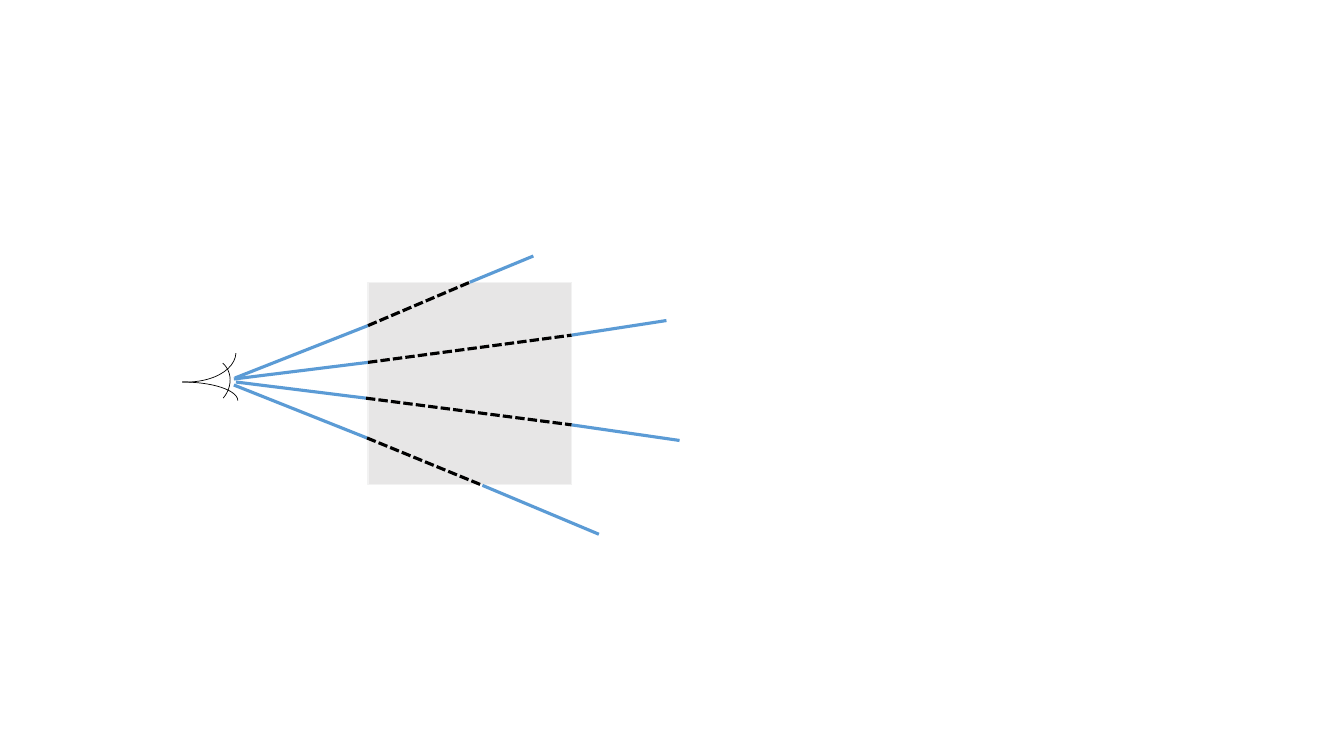
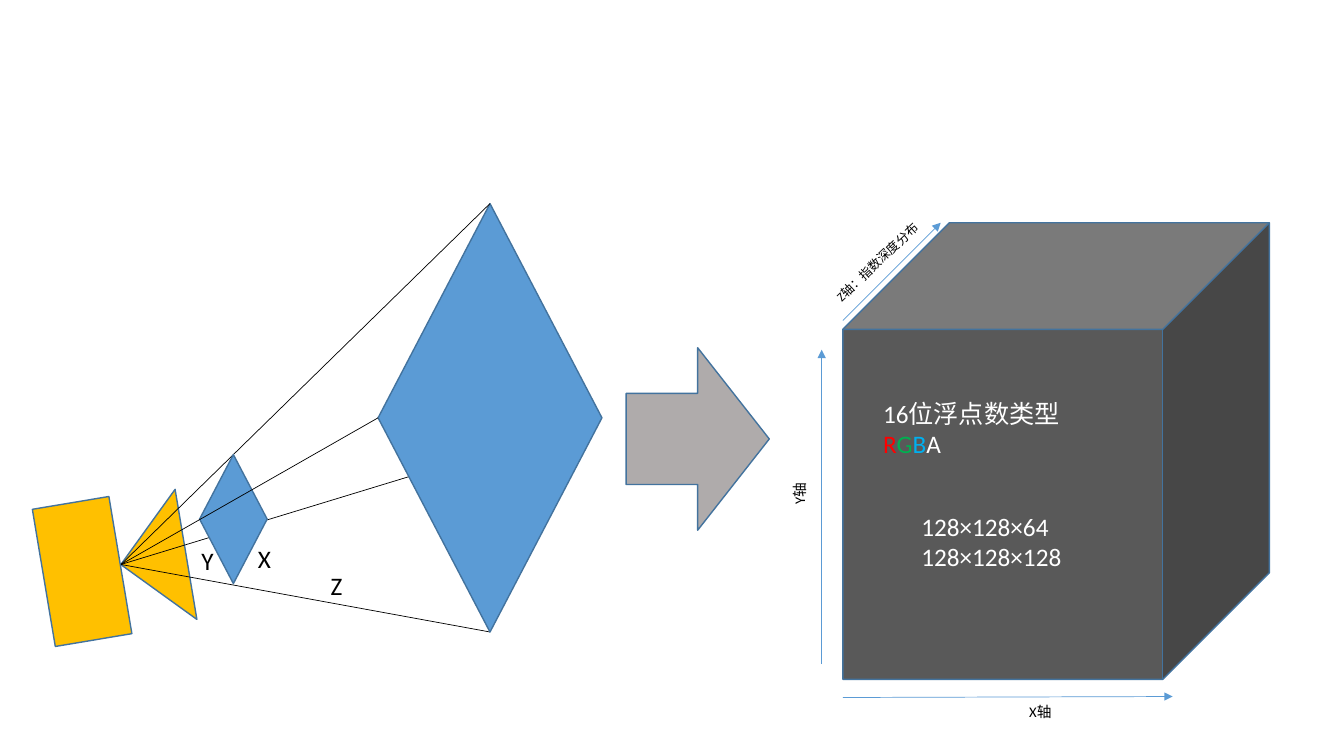
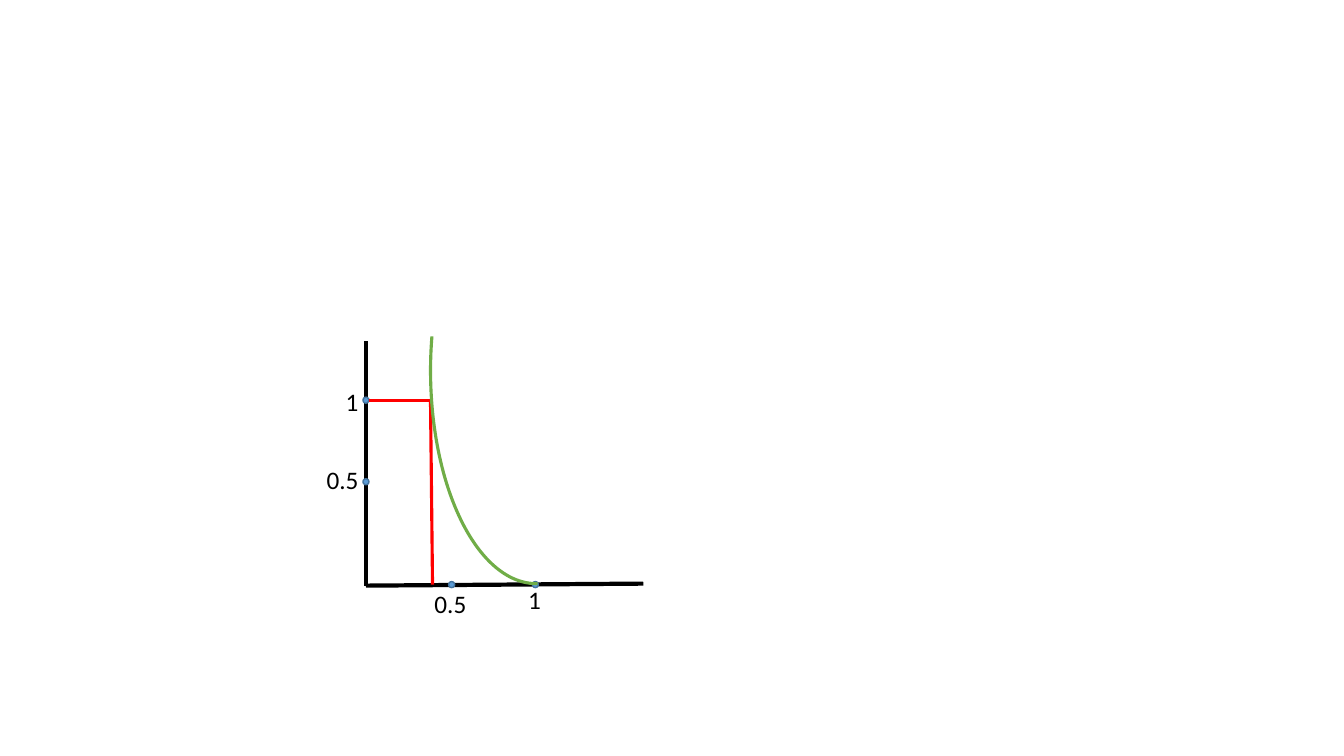
"""Build three diagram slides: view rays, a frustum mapped to a volume texture, and a falloff curve."""
from dataclasses import dataclass
from itertools import pairwise

from pptx import Presentation
from pptx.dml.color import RGBColor
from pptx.enum.dml import MSO_LINE
from pptx.enum.shapes import MSO_CONNECTOR, MSO_SHAPE
from pptx.enum.text import MSO_AUTO_SIZE
from pptx.oxml.ns import qn
from pptx.util import Inches, Pt
from lxml.etree import SubElement

BLACK = RGBColor(0x00, 0x00, 0x00)
WHITE = RGBColor(0xFF, 0xFF, 0xFF)
BLUE = RGBColor(0x5B, 0x9B, 0xD5)
OUTLINE = RGBColor(0x43, 0x73, 0x9E)
GOLD = RGBColor(0xFF, 0xC0, 0x00)
SILVER = RGBColor(0xAF, 0xAB, 0xAB)
CHARCOAL = RGBColor(0x59, 0x59, 0x59)
FOG = RGBColor(0xE7, 0xE6, 0xE6)
FOG_EDGE = RGBColor(0xF2, 0xF2, 0xF2)
RED = RGBColor(0xFF, 0x00, 0x00)
GREEN = RGBColor(0x00, 0xB0, 0x50)
SKY = RGBColor(0x00, 0xB0, 0xF0)
CURVE_GREEN = RGBColor(0x70, 0xAD, 0x47)

FONT = "Calibri"
CELLS_PER_INCH = 10
TOP, LEFT, BOTTOM, RIGHT = range(4)

Point = tuple[float, float]


def cells(count: float) -> int:
    return Inches(count / CELLS_PER_INCH)


@dataclass(frozen=True)
class Box:
    col: float
    row: float
    cols: float
    rows: float
    turn: float = 0

    def side(self, site: int) -> Point:
        middle_col, middle_row = self.col + self.cols / 2, self.row + self.rows / 2
        return {
            TOP: (middle_col, self.row),
            LEFT: (self.col, middle_row),
            BOTTOM: (middle_col, self.row + self.rows),
            RIGHT: (self.col + self.cols, middle_row),
        }[site]


@dataclass(frozen=True)
class Stroke:
    color: RGBColor
    points: float
    dashed: bool = False
    arrow: bool = False


@dataclass(frozen=True)
class Run:
    text: str
    color: RGBColor = BLACK


@dataclass(frozen=True)
class Label:
    box: Box
    size: float
    paragraphs: tuple[tuple[Run, ...], ...]
    wrap: bool = False


@dataclass(frozen=True)
class Tick:
    text: str
    center: Point
    label_col: float
    label_row: float
    label_cols: float


EDGE = Stroke(OUTLINE, 1)
HAIRLINE = Stroke(BLACK, 0.5)
VISIBLE_RAY = Stroke(BLUE, 2.25)
HIDDEN_RAY = Stroke(BLACK, 2.25, dashed=True)
DIRECTION = Stroke(BLUE, 0.5, arrow=True)
AXIS = Stroke(BLACK, 3)
GUIDE = Stroke(RED, 2.25)
CURVE = Stroke(CURVE_GREEN, 2.25)


def apply_stroke(line, stroke: Stroke) -> None:
    line.color.rgb = stroke.color
    line.width = Pt(stroke.points)
    if stroke.dashed:
        line.dash_style = MSO_LINE.SQUARE_DOT


def draw_shape(shapes, kind: MSO_SHAPE, box: Box, stroke: Stroke, fill: RGBColor | None = None):
    drawn = shapes.add_shape(kind, cells(box.col), cells(box.row), cells(box.cols), cells(box.rows))
    drawn.rotation = box.turn
    drawn.shadow.inherit = False
    if fill is None:
        drawn.fill.background()
    else:
        drawn.fill.solid()
        drawn.fill.fore_color.rgb = fill
    apply_stroke(drawn.line, stroke)
    return drawn


def draw_line(shapes, start: Point, end: Point, stroke: Stroke):
    drawn = shapes.add_connector(MSO_CONNECTOR.STRAIGHT, *(cells(n) for n in (*start, *end)))
    apply_stroke(drawn.line, stroke)
    properties = drawn._element.spPr
    if stroke.arrow:
        SubElement(properties.find(qn("a:ln")), qn("a:tailEnd"), type="triangle")
    SubElement(properties, qn("a:effectLst"))
    return drawn


def draw_label(shapes, label: Label) -> None:
    box = label.box
    drawn = shapes.add_textbox(cells(box.col), cells(box.row), cells(box.cols), cells(box.rows))
    drawn.rotation = box.turn
    frame = drawn.text_frame
    frame.word_wrap = label.wrap
    frame.auto_size = MSO_AUTO_SIZE.SHAPE_TO_FIT_TEXT
    for index, runs in enumerate(label.paragraphs):
        paragraph = frame.add_paragraph() if index else frame.paragraphs[0]
        for part in runs:
            run = paragraph.add_run()
            run.text = part.text
            run.font.name = FONT
            run.font.size = Pt(label.size)
            run.font.color.rgb = part.color


def draw_view_rays(shapes) -> None:
    eye = shapes.add_group_shape().shapes
    for lid in (
        Box(12.6, 37.9, 11, 3.7),
        Box(15.1, 29.6, 6.2, 10.4, 92.6),
        Box(18.1, 35.4, 4.6, 5.2, 40.6),
    ):
        draw_shape(eye, MSO_SHAPE.ARC, lid, HAIRLINE)

    draw_shape(shapes, MSO_SHAPE.RECTANGLE, Box(36.5, 28, 20.2, 20.1), Stroke(FOG_EDGE, 1), FOG)

    rays = (
        ((23.3, 37.5), (36.5, 32.3), (46.6, 28), (52.9, 25.4)),
        ((23.2, 37.6), (36.5, 35.95), (56.7, 33.25), (66.1, 31.8)),
        ((23.4, 37.9), (36.3, 39.5), (56.7, 42.15), (67.4, 43.7)),
        ((23.2, 38.2), (36.4, 43.45), (47.85, 48.15), (59.4, 53)),
    )
    for ray in rays:
        for (start, end), stroke in zip(pairwise(ray), (VISIBLE_RAY, HIDDEN_RAY, VISIBLE_RAY)):
            draw_line(shapes, start, end, stroke)


def draw_frustum(shapes) -> None:
    lens = (12, 56)
    far_plane = Box(37.5, 20.2, 22.2, 42.5)
    near_plane = Box(19.8, 45.1, 6.7, 12.8)

    def draw_ray(site: int):
        return draw_line(shapes, lens, far_plane.side(site), HAIRLINE)

    draw_shape(shapes, MSO_SHAPE.RIGHT_TRIANGLE, Box(13.8, 50.4, 9.3, 9.2, 35.8), EDGE, GOLD)
    rays = {site: draw_ray(site) for site in (RIGHT, BOTTOM)}
    draw_shape(shapes, MSO_SHAPE.RECTANGLE, Box(4.3, 49.8, 7.7, 13.8, 350.5), EDGE, GOLD)
    far = draw_shape(shapes, MSO_SHAPE.FLOWCHART_DECISION, far_plane, EDGE, BLUE)
    rays[TOP] = draw_ray(TOP)
    draw_shape(shapes, MSO_SHAPE.FLOWCHART_DECISION, near_plane, EDGE, BLUE)
    rays[LEFT] = draw_ray(LEFT)
    for site, ray in rays.items():
        ray.end_connect(far, site)


def draw_volume(shapes) -> None:
    draw_shape(shapes, MSO_SHAPE.RIGHT_ARROW, Box(62.1, 34.5, 14.2, 18.1), EDGE, SILVER)
    draw_shape(shapes, MSO_SHAPE.CUBE, Box(83.6, 22.1, 42.3, 45.3), EDGE, CHARCOAL)
    for start, end in (
        ((81.5, 65.9), (81.5, 34.7)),
        ((83.6, 69.2), (116.3, 69.1)),
        ((83.6, 31.8), (93.3, 22.1)),
    ):
        draw_line(shapes, start, end, DIRECTION)


def draw_volume_labels(shapes) -> None:
    channels = (
        Run("16位浮点数类型 ", WHITE),
        Run("R", RED),
        Run("G", GREEN),
        Run("B", SKY),
        Run("A", WHITE),
    )
    sizes = ((Run("128×128×64", WHITE),), (Run("128×128×128", WHITE),))
    for label in (
        Label(Box(80.5, 19.5, 26, 7.2, 316.5), 9, ((Run("Z轴：指数深度分布"),),)),
        Label(Box(74.8, 42.2, 11.9, 5.7, 270), 10.5, ((Run("Y轴"),),)),
        Label(Box(101.1, 69.2, 8.7, 7.9), 10.5, ((Run("X轴"),),)),
        Label(Box(31.8, 56.1, 6.5, 11.5), 18, ((Run("Z"),),)),
        Label(Box(24.6, 53.4, 6.8, 11.5), 18, ((Run("X"),),)),
        Label(Box(19, 53.6, 6.6, 11.5), 18, ((Run("Y"),),)),
        Label(Box(86.6, 39, 24, 7.1), 18, (channels,), wrap=True),
        Label(Box(90.4, 50.2, 18.6, 7.1), 18, sizes),
    ):
        draw_label(shapes, label)


def draw_falloff(shapes) -> None:
    origin = (36.3, 58.1)
    dot = 0.6
    label_rows = 4
    ticks = (
        Tick("1", (36.3, 39.7), 33.3, 37.8, 3.3),
        Tick("0.5", (36.3, 47.8), 31.4, 45.6, 5.2),
        Tick("0.5", (44.8, 58), 42.1, 57.9, 5.2),
        Tick("1", (53.1, 58), 51.4, 57.5, 3.3),
    )
    for axis_end in ((36.3, 33.8), (63.8, 57.9)):
        draw_line(shapes, origin, axis_end, AXIS)
    for tick in ticks:
        col, row = tick.center
        spot = Box(col - dot / 2, row - dot / 2, dot, dot)
        draw_shape(shapes, MSO_SHAPE.FLOWCHART_CONNECTOR, spot, EDGE, BLUE)
    for start, end in pairwise(((36.6, 39.7), (42.7, 39.7), (42.9, 58))):
        draw_line(shapes, start, end, GUIDE)
    curve = draw_shape(shapes, MSO_SHAPE.ARC, Box(42.7, 15.6, 21, 42.3, 180), CURVE)
    curve.adjustments[0] = 161.79
    curve.adjustments[1] = 10.85
    for tick in ticks:
        box = Box(tick.label_col, tick.label_row, tick.label_cols, label_rows)
        draw_label(shapes, Label(box, 18, ((Run(tick.text),),)))


def main() -> None:
    deck = Presentation()
    deck.slide_width, deck.slide_height = Inches(13.33), Inches(7.5)
    blank = deck.slide_layouts[6]
    for parts in (
        (draw_view_rays,),
        (draw_frustum, draw_volume, draw_volume_labels),
        (draw_falloff,),
    ):
        shapes = deck.slides.add_slide(blank).shapes
        for draw in parts:
            draw(shapes)
    deck.save("out.pptx")


if __name__ == "__main__":
    main()
